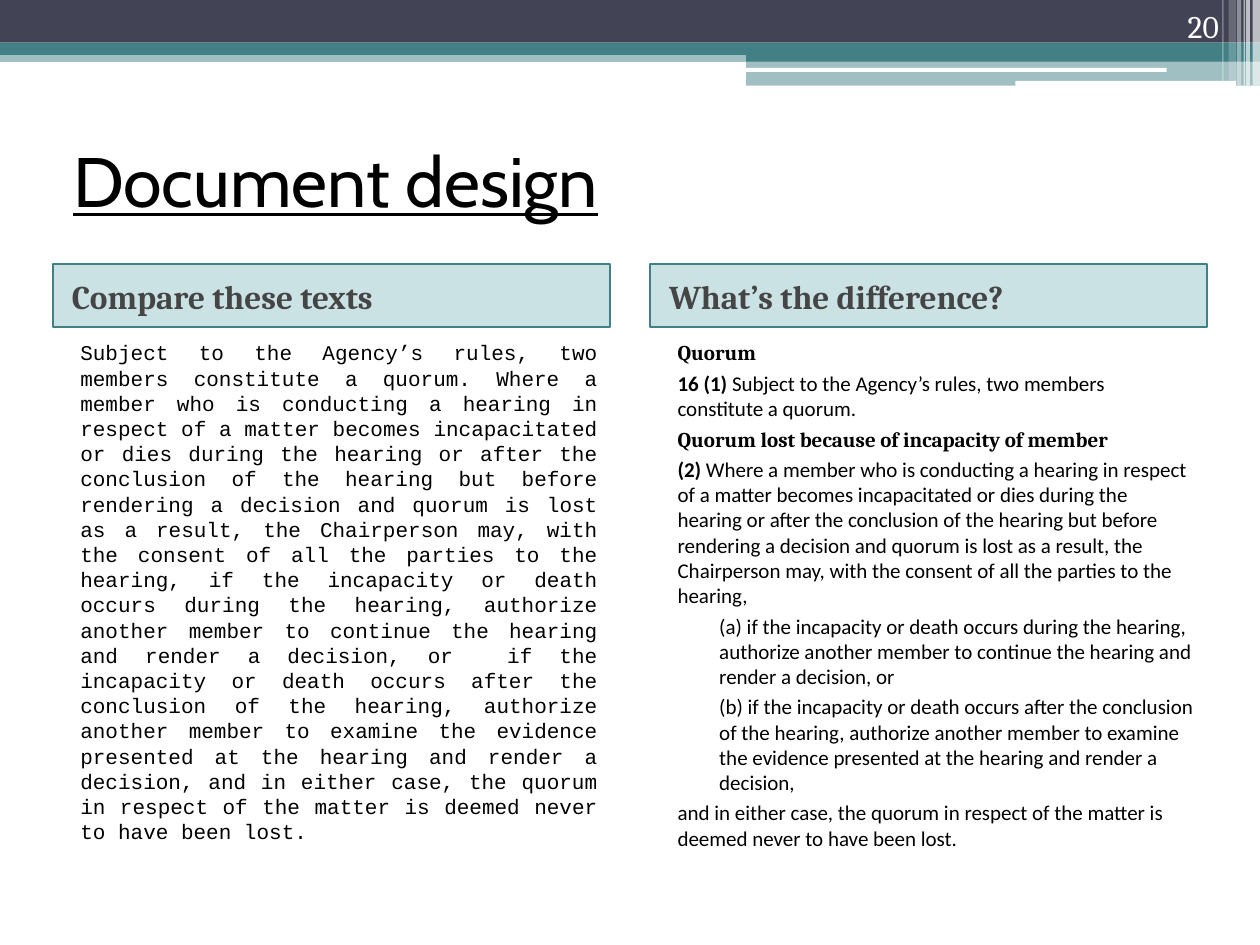
from dataclasses import dataclass

from lxml import etree
from pptx import Presentation
from pptx.dml.color import RGBColor
from pptx.enum import shapes, text
from pptx.oxml import ns
from pptx.util import Cm, Pt


@dataclass(frozen=True)
class Theme:
    """Colours, fonts and type sizes of the slide."""
    navy: str = "424456"
    teal: str = "438086"
    tint: str = "328E97"
    grey: str = "454545"
    white: str = "FFFFFF"
    black: str = "000000"
    head: str = "Cambria"
    body: str = "Calibri"
    mono: str = "Courier New"
    top: str = "Cabin"
    title: int = 40
    label: int = 19
    page: int = 18
    small: int = 12


T = Theme()
RECT = shapes.MSO_SHAPE.RECTANGLE
ROUND = shapes.MSO_SHAPE.ROUNDED_RECTANGLE
ANCHOR = text.MSO_ANCHOR
ALIGN = text.PP_ALIGN

DENSE = (
    "Subject to the Agency’s rules, two members constitute a quorum. "
    "Where a member who is conducting a hearing in respect of a matter "
    "becomes incapacitated or dies during the hearing or after the "
    "conclusion of the hearing but before rendering a decision and quorum "
    "is lost as a result, the Chairperson may, with the consent of all the "
    "parties to the hearing, if the incapacity or death occurs during the "
    "hearing, authorize another member to continue the hearing and render "
    "a decision, or  if the incapacity or death occurs after the conclusion "
    "of the hearing, authorize another member to examine the evidence "
    "presented at the hearing and render a decision, and in either case, "
    "the quorum in respect of the matter is deemed never to have been lost."
)
CLEAR = [
    (0, [("Quorum", T.head, True)]),
    (0, [("16 (1)", T.body, True),
         (" Subject to the Agency’s rules, two members constitute a quorum.",
          T.body, False)]),
    (0, [("Quorum lost because of incapacity of member", T.head, True)]),
    (0, [("(2)", T.body, True),
         (" Where a member who is conducting a hearing in respect of a matter "
          "becomes incapacitated or dies during the hearing or after the "
          "conclusion of the hearing but before rendering a decision and "
          "quorum is lost as a result, the Chairperson may, with the consent "
          "of all the parties to the hearing,", T.body, False)]),
    (1, [("(a) if the incapacity or death occurs during the hearing, "
          "authorize another member to continue the hearing and render a "
          "decision, or", T.body, False)]),
    (1, [("(b) if the incapacity or death occurs after the conclusion of the "
          "hearing, authorize another member to examine the evidence "
          "presented at the hearing and render a decision,", T.body, False)]),
    (0, [("and in either case, the quorum in respect of the matter is deemed "
          "never to have been lost.", T.body, False)]),
]


def ink(font, face, size, color, bold=False):
    """Set the look of a font."""
    font.name, font.size, font.bold = face, Pt(size), bold
    font.color.rgb = RGBColor.from_string(color)


def block(slide, box, color, alpha=100, kind=RECT):
    """Add a filled shape without a line and return it."""
    shape = slide.shapes.add_shape(kind, *map(Cm, box))
    shape.shadow.inherit = False
    shape.line.fill.background()
    shape.fill.solid()
    shape.fill.fore_color.rgb = RGBColor.from_string(color)
    if alpha < 100:
        tone = shape.fill._xPr.find(".//" + ns.qn("a:srgbClr"))
        etree.SubElement(tone, ns.qn("a:alpha"), val=str(alpha * 1000))
    return shape


def frame(slide, box, anchor):
    """Add a wrapping text box and return its frame."""
    area = slide.shapes.add_textbox(*map(Cm, box)).text_frame
    area.word_wrap = True
    area.vertical_anchor = anchor
    return area


def indent(para, left):
    """Set the left margin and the space before a paragraph."""
    props = para._p.get_or_add_pPr()
    props.set("marL", str(Cm(left)))
    props.set("indent", "0")
    para.space_before = Pt(3)


def banner(slide, box):
    """Draw the bands, rules and stripes along the top."""
    x, y, w, h = box
    half = 15.04
    for dx, dy, wide, high, color, alpha, kind in [
        (0, 1.02, w, 0.23, T.teal, 50, RECT),
        (0, 0, w, 0.86, T.navy, 100, RECT),
        (0, 0.86, w, 0.25, T.teal, 100, RECT),
        (half, 0.99, w - half, 0.25, T.teal, 100, RECT),
        (half, 1.22, w - half, 0.51, T.teal, 50, RECT),
        (15.01, 1.37, 8.51, 0.08, T.white, 100, ROUND),
        (20.47, 1.63, 4.45, 0.1, T.white, 100, ROUND),
    ]:
        block(slide, (x + dx, y + dy, wide, high), color, alpha, kind)
    for dx, wide, cut, alpha in [
        (25.25, 0.15, 0, 65), (25.12, 0.08, 0, 65), (25.07, 0.03, 0, 60),
        (24.94, 0.08, 0, 40), (24.77, 0.15, 0.1, 20), (24.64, 0.03, 0.1, 30),
    ]:
        block(slide, (x + dx, y, wide, h - cut), T.white, alpha)


def title(slide, box):
    """Place and format the title."""
    head = slide.shapes.title
    head.left, head.top, head.width, head.height = map(Cm, box)
    area = head.text_frame
    area.text = "Document design"
    area.auto_size = text.MSO_AUTO_SIZE.NONE
    area.vertical_anchor = ANCHOR.MIDDLE
    para = area.paragraphs[0]
    para.alignment = ALIGN.LEFT
    font = para.runs[0].font
    ink(font, T.top, T.title, T.black)
    font.underline = True


def column(slide, box, label, paras, align):
    """Place a labelled column of text."""
    x, y, w, h = box
    bar = block(slide, (x, y, w, 1.27), T.tint, 25)
    bar.line.color.rgb = RGBColor.from_string(T.teal)
    bar.line.width = Pt(1)
    area = bar.text_frame
    area.text = label
    area.vertical_anchor = ANCHOR.MIDDLE
    para = area.paragraphs[0]
    para.alignment = ALIGN.LEFT
    indent(para, 0.13)
    ink(para.runs[0].font, T.head, T.label, T.grey, True)

    area = frame(slide, (x, y + 1.4, w, h - 1.4), ANCHOR.TOP)
    for i, (level, runs) in enumerate(paras):
        para = area.add_paragraph() if i else area.paragraphs[0]
        para.level = level
        para.alignment = align
        para.line_spacing = Pt(14.4)
        indent(para, 0.3 + 0.84 * level)
        for words, face, bold in runs:
            run = para.add_run()
            run.text = words
            ink(run.font, face, T.small, T.black, bold)


def page(slide, box):
    """Place the page number."""
    area = frame(slide, box, ANCHOR.BOTTOM)
    area.text = "20"
    para = area.paragraphs[0]
    para.alignment = ALIGN.RIGHT
    ink(para.runs[0].font, T.head, T.page, T.white)


def main():
    """Build and save the slide."""
    deck = Presentation()
    deck.slide_width, deck.slide_height = Cm(25.4), Cm(19.05)
    slide = deck.slides.add_slide(deck.slide_layouts[5])
    banner(slide, (0, 0, 25.4, 1.73))
    title(slide, (1.22, 2.13, 23.29, 2.97))
    column(slide, (1.07, 5.33, 11.23, 13), "Compare these texts",
           [(0, [(DENSE, T.mono, False)])], ALIGN.JUSTIFY)
    column(slide, (13.11, 5.33, 11.23, 12.8), "What’s the difference?",
           CLEAR, ALIGN.LEFT)
    page(slide, (22.71, 0, 2.11, 1.02))
    deck.save("out.pptx")


if __name__ == "__main__":
    main()
